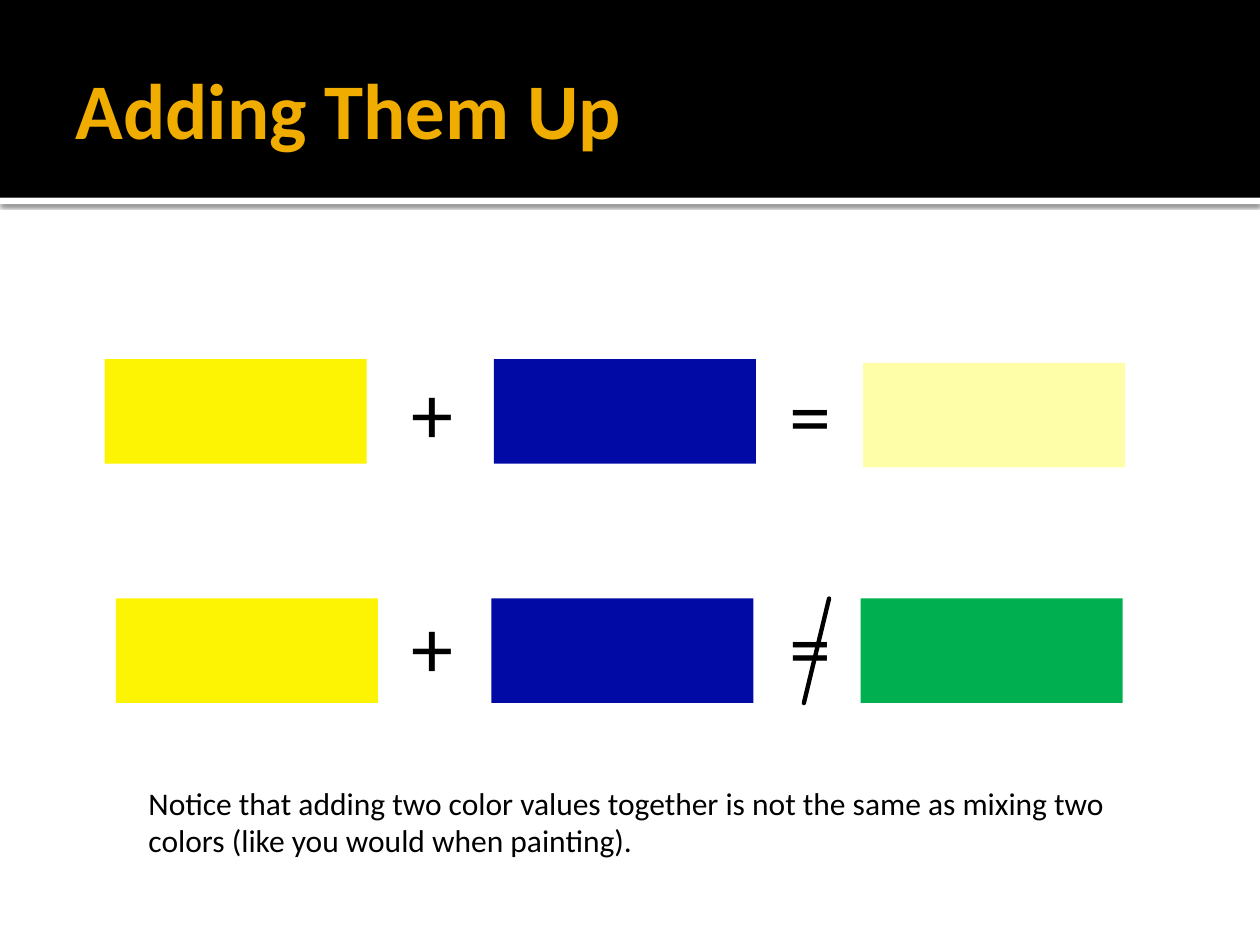
import pptx
import pptx.dml.color
import pptx.enum.shapes
import pptx.enum.text
import pptx.oxml
import pptx.oxml.ns
import pptx.util
from pptx.util import Inches


def color(hex_value):
    return pptx.dml.color.RGBColor.from_string(hex_value)


def add_rect(s, x, y, w, h, fill):
    sp = s.shapes.add_shape(
        pptx.enum.shapes.MSO_SHAPE.RECTANGLE, Inches(x), Inches(y), Inches(w), Inches(h))
    sp.shadow.inherit = False
    sp.fill.solid()
    sp.fill.fore_color.rgb = color(fill)
    sp.line.fill.background()
    return sp


prs = pptx.Presentation()
prs.slide_width = Inches(10)
prs.slide_height = Inches(7.5)
s = prs.slides.add_slide(prs.slide_layouts[5])
ns = pptx.oxml.ns.nsdecls("a")

stripe = add_rect(s, 0, 1.57, 10, 0.05, "FFFFFF")
effects = stripe.element.spPr.find(pptx.oxml.ns.qn("a:effectLst"))
effects.append(pptx.oxml.parse_xml(
    f'<a:outerShdw {ns} blurRad="31750" dist="10160" dir="5400000" algn="tl" rotWithShape="0">'
    '<a:srgbClr val="000000"><a:alpha val="60000"/></a:srgbClr></a:outerShdw>'))
add_rect(s, 0, 0, 10, 1.57, "000000")

title = s.shapes.title
s.shapes.element.append(title.element)
title.left, title.top = Inches(0.5), Inches(0.17)
title.width, title.height = Inches(9), Inches(1.37)
tf = title.text_frame
tf.text = "Adding Them Up"
tf.vertical_anchor = pptx.enum.text.MSO_ANCHOR.MIDDLE
tf.margin_left = Inches(0.1)
tf.margin_right = tf.margin_top = tf.margin_bottom = Inches(0.05)
p = tf.paragraphs[0]
p.alignment = pptx.enum.text.PP_ALIGN.LEFT
p.font.name = "Calibri"
p.font.size = pptx.util.Pt(45)
p.font.bold = True
p.font.color.rgb = color("F0AD00")

swatches = [
    (0.83, 2.85, "FDF403"), (3.92, 2.85, "020AA5"), (6.85, 2.88, "FFFEA8"),
    (0.92, 4.75, "FDF403"), (3.9, 4.75, "020AA5"), (6.83, 4.75, "00B050"),
]
for x, y, fill in swatches:
    add_rect(s, x, y, 2.08, 0.83, fill)

note = ("Notice that adding two color values together is not the same as "
        "mixing two colors (like you would when painting).")
texts = [
    ("+", 3.17, 2.81, 0.42, 0.91, 48), ("+", 3.17, 4.67, 0.42, 0.91, 48),
    ("=", 6.17, 2.83, 0.42, 0.91, 48), ("=", 6.17, 4.67, 0.42, 0.91, 48),
    (note, 1.08, 6.17, 8.08, 0.71, 18),
]
for text, x, y, w, h, size in texts:
    tf = s.shapes.add_textbox(Inches(x), Inches(y), Inches(w), Inches(h)).text_frame
    tf.word_wrap = True
    tf.auto_size = pptx.enum.text.MSO_AUTO_SIZE.SHAPE_TO_FIT_TEXT
    tf.text = text
    p = tf.paragraphs[0]
    p.font.name = "Calibri"
    p.font.size = pptx.util.Pt(size)
    p.font.color.rgb = color("000000")

slash = s.shapes.add_connector(
    pptx.enum.shapes.MSO_CONNECTOR.STRAIGHT,
    Inches(6.58), Inches(4.75), Inches(6.38), Inches(5.58))
slash.line.color.rgb = color("000000")
slash.line.width = pptx.util.Pt(2.5)
slash.line._get_or_add_ln().set("cap", "rnd")
slash.element.spPr.append(pptx.oxml.parse_xml(f"<a:effectLst {ns}/>"))

prs.save("out.pptx")
